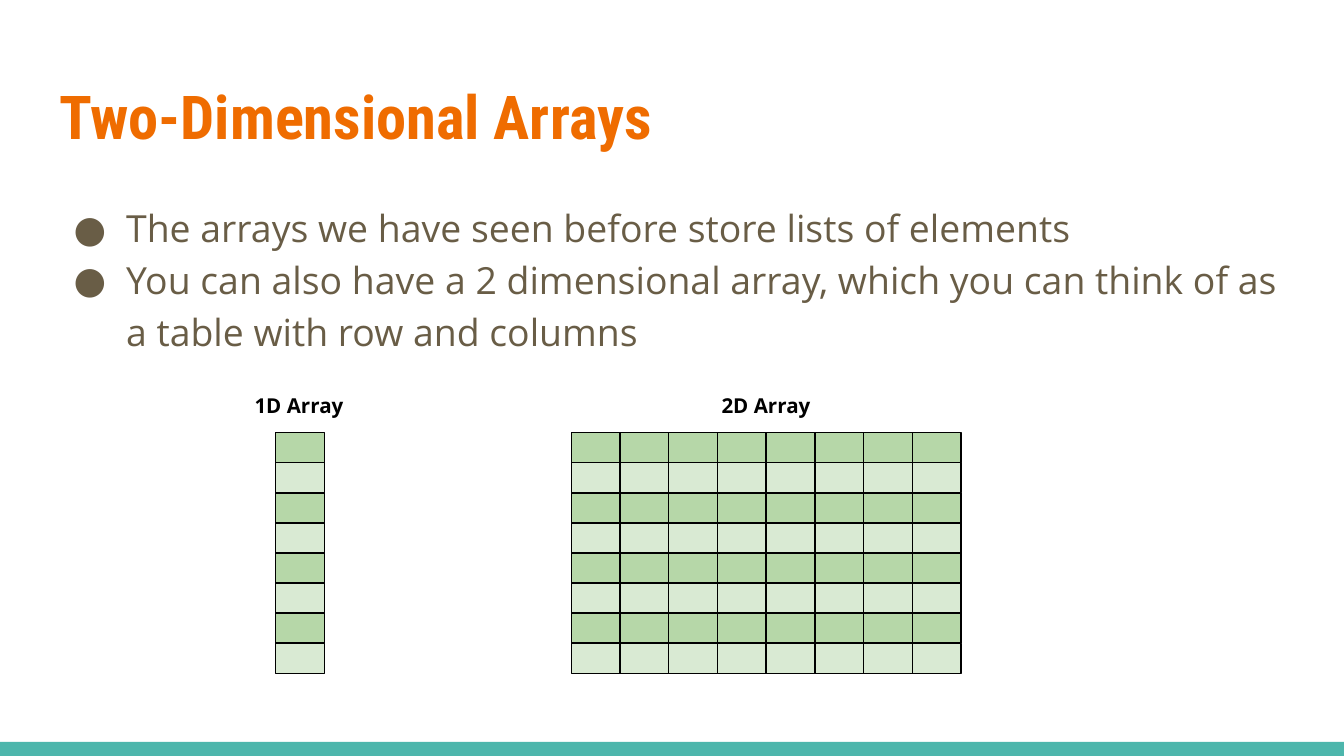
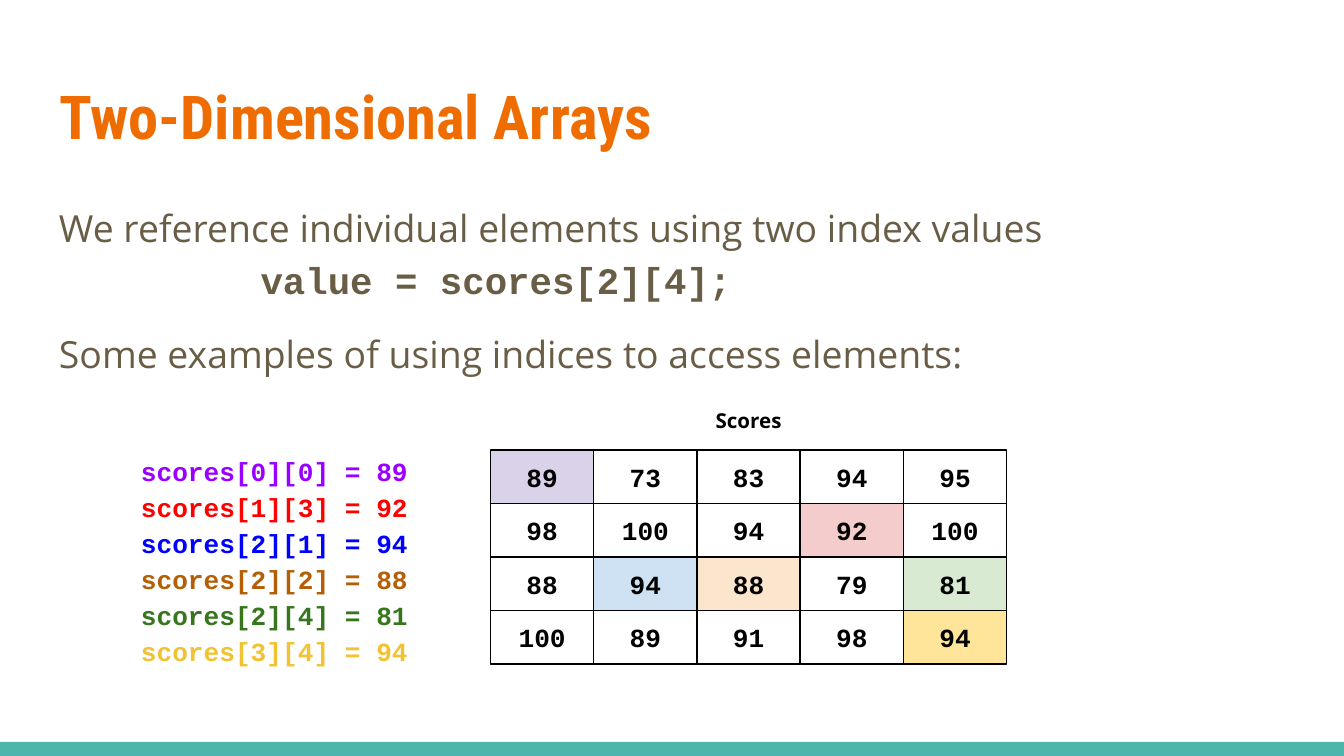
import dataclasses
import itertools

import lxml.etree
import pptx
import pptx.dml.color
import pptx.enum.shapes
import pptx.enum.text
import pptx.oxml.ns
import pptx.util

Inches = pptx.util.Inches
Align = pptx.enum.text.PP_ALIGN


@dataclasses.dataclass(frozen=True)
class Theme:
    heading_font: str = "Roboto Condensed"
    body_font: str = "Open Sans"
    code_font: str = "Courier New"
    heading_size: float = 32.4
    body_size: float = 20
    code_size: float = 14
    label_size: float = 11
    heading: str = "EF6C00"
    body: str = "695D46"
    band: str = "4DB6AC"
    ink: str = "000000"
    paper: str = "FFFFFF"
    stripes: tuple = ("B6D7A8", "D9EAD3")


theme = Theme()


def write(box, text, font=theme.body_font, size=theme.body_size, color=theme.body,
          bold=False, align=Align.LEFT, line_spacing=1.0, before=0, after=0,
          indent=0, bullet=None, hanging=0):
    frame = box.text_frame
    para = frame.add_paragraph() if frame.text else frame.paragraphs[0]
    para.alignment = align
    para.line_spacing = line_spacing
    para.space_before = pptx.util.Pt(before)
    para.space_after = pptx.util.Pt(after)
    properties = para._p.get_or_add_pPr()
    properties.set("marL", str(Inches(indent)))
    properties.set("indent", str(-Inches(hanging)))
    if bullet:
        qn = pptx.oxml.ns.qn
        bullet_color = lxml.etree.SubElement(properties, qn("a:buClr"))
        lxml.etree.SubElement(bullet_color, qn("a:srgbClr"), val=color)
        lxml.etree.SubElement(properties, qn("a:buFont"), typeface=font)
        lxml.etree.SubElement(properties, qn("a:buChar"), char=bullet)
    span = para.add_run()
    span.text = text
    span.font.name = font
    span.font.size = pptx.util.Pt(size)
    span.font.bold = bold
    span.font.color.rgb = pptx.dml.color.RGBColor.from_string(color)


def add_box(page, left, top, width, height, fill=None, line=None):
    place = [Inches(length) for length in (left, top, width, height)]
    if fill:
        box = page.shapes.add_shape(pptx.enum.shapes.MSO_SHAPE.RECTANGLE, *place)
        box.shadow.inherit = False
        box.fill.solid()
        box.fill.fore_color.rgb = pptx.dml.color.RGBColor.from_string(fill)
        box.line.fill.background()
    else:
        box = page.shapes.add_textbox(*place)
    if line:
        box.line.color.rgb = pptx.dml.color.RGBColor.from_string(line)
        box.line.width = pptx.util.Pt(0.75)
    frame = box.text_frame
    frame.word_wrap = True
    frame.margin_left = frame.margin_right = Inches(0.1)
    frame.margin_top = frame.margin_bottom = Inches(0.1)
    return box


deck = pptx.Presentation()
deck.slide_width = Inches(10)
deck.slide_height = deck.slide_width * 9 // 16
layout = deck.slide_layouts[5]
pages = [deck.slides.add_slide(layout) for number in range(2)]

band = add_box(pages[0], 0, 5.52, 10, 0.11, fill=theme.band)
band.element.nvSpPr.cNvPr.set("id", "20")
layout.shapes.element.append(band.element)

for page in pages:
    title = page.shapes.title
    title.left, title.top = Inches(0.34), Inches(0.49)
    title.width, title.height = Inches(9.32), Inches(0.77)
    frame = title.text_frame
    frame.auto_size = pptx.enum.text.MSO_AUTO_SIZE.NONE
    frame.vertical_anchor = pptx.enum.text.MSO_ANCHOR.TOP
    frame.margin_left = frame.margin_right = Inches(0.1)
    frame.margin_top = frame.margin_bottom = Inches(0.1)
    write(title, "Two-Dimensional Arrays", font=theme.heading_font,
          size=theme.heading_size, color=theme.heading, bold=True)

arrays_page, scores_page = pages
label_format = dict(size=theme.label_size, color=theme.ink, bold=True, align=Align.CENTER)

intro = add_box(arrays_page, 0.34, 1.38, 9.32, 1.61)
for point in (
    "The arrays we have seen before store lists of elements",
    "You can also have a 2 dimensional array, which you can think of as a table with row and columns",
):
    write(intro, point, line_spacing=1.15, indent=0.5, hanging=0.39, bullet="●")

row_count = 8
cell_width, cell_height = 2.9 / 8, 1.79 / row_count
for label, label_left, label_width, grid_left, column_count in (
    ("1D Array", 1.73, 0.99, 2.05, 1),
    ("2D Array", 4.25, 2.9, 4.25, 8),
):
    for column, row in itertools.product(range(column_count), range(row_count)):
        add_box(arrays_page, grid_left + column * cell_width, 3.22 + row * cell_height,
                cell_width, cell_height, fill=theme.stripes[row % 2], line=theme.ink)
    write(add_box(arrays_page, label_left, 2.83, label_width, 0.39), label, **label_format)

explanation = add_box(scores_page, 0.34, 1.38, 9.32, 1.55)
write(explanation, "We reference individual elements using two index values", line_spacing=1.15)
write(explanation, "value = scores[2][4];", font=theme.code_font, bold=True,
      line_spacing=1.15, indent=1.5)
write(explanation, "Some examples of using indices to access elements:",
      line_spacing=1.15, before=12, after=12)

scores = [
    [89, 73, 83, 94, 95],
    [98, 100, 94, 92, 100],
    [88, 94, 88, 79, 81],
    [100, 89, 91, 98, 94],
]
examples = {
    (0, 0): ("9900FF", "D9D2E9"),
    (1, 3): ("FF0000", "F4CCCC"),
    (2, 1): ("0000FF", "CFE2F3"),
    (2, 2): ("B45F06", "FCE5CD"),
    (2, 4): ("38761D", "D9EAD3"),
    (3, 4): ("F1C232", "FFE599"),
}
code_format = dict(font=theme.code_font, size=theme.code_size, bold=True)

listing = add_box(scores_page, 0.95, 3.25, 3.28, 1.79)
for (row, column), (text_color, cell_fill) in examples.items():
    write(listing, f"scores[{row}][{column}] = {scores[row][column]}",
          color=text_color, line_spacing=1.15, **code_format)

score_width, score_height = 3.84 / 5, 1.59 / 4
for row, values in enumerate(scores):
    for column, value in enumerate(values):
        text_color, cell_fill = examples.get((row, column), (theme.ink, theme.paper))
        cell = add_box(scores_page, 3.65 + column * score_width, 3.35 + row * score_height,
                       score_width, score_height, fill=cell_fill, line=theme.ink)
        cell.text_frame.vertical_anchor = pptx.enum.text.MSO_ANCHOR.MIDDLE
        write(cell, str(value), color=theme.ink, align=Align.CENTER, **code_format)
write(add_box(scores_page, 3.65, 2.94, 3.84, 0.39), "Scores", **label_format)

deck.save("out.pptx")
